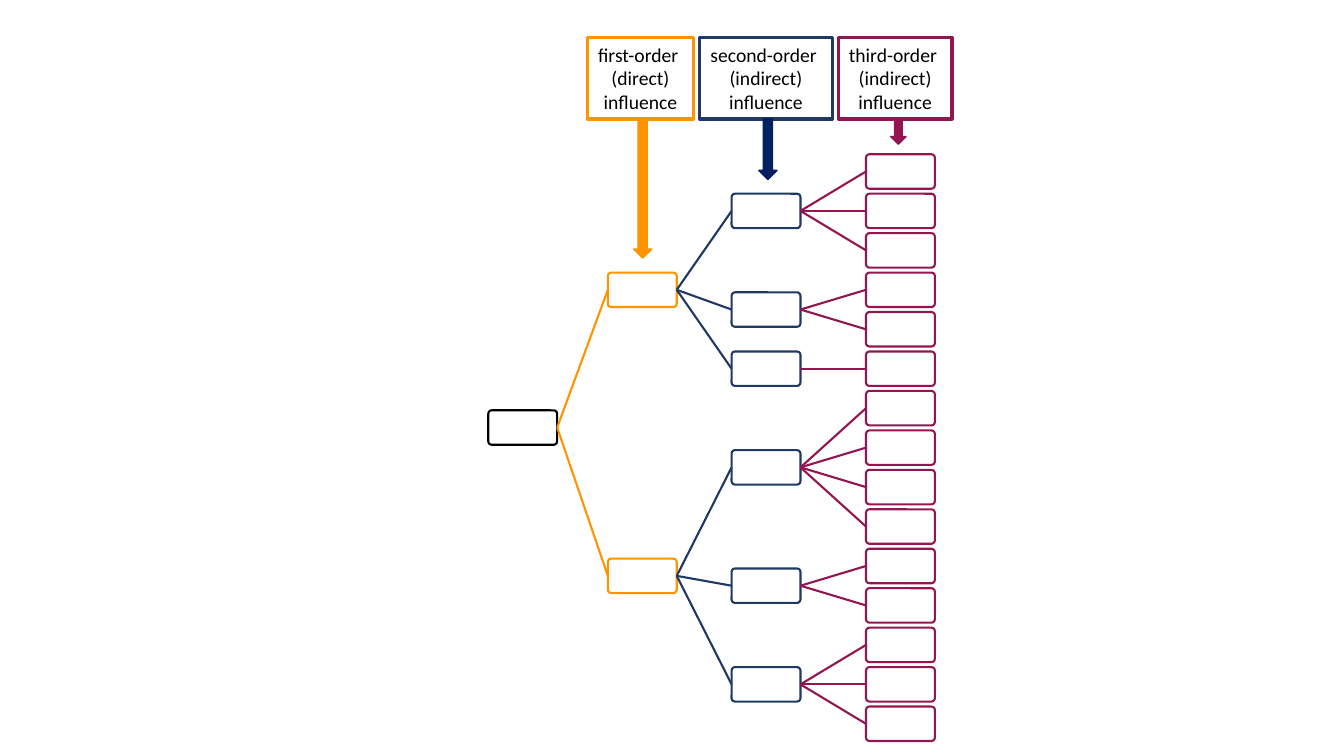
from pptx import Presentation
from pptx.dml.color import RGBColor
from pptx.enum.shapes import MSO_CONNECTOR, MSO_SHAPE
from pptx.enum.text import MSO_AUTO_SIZE, PP_ALIGN
from pptx.oxml.ns import qn
from pptx.util import Pt
from lxml import etree

ROUNDED, ARROW = MSO_SHAPE.ROUNDED_RECTANGLE, MSO_SHAPE.DOWN_ARROW
STRAIGHT = MSO_CONNECTOR.STRAIGHT
CENTER = PP_ALIGN.CENTER
FIT_SHAPE = MSO_AUTO_SIZE.SHAPE_TO_FIT_TEXT
RIGHT_SIDE, LEFT_SIDE = 3, 1

BLACK = RGBColor(0x00, 0x00, 0x00)
WHITE = RGBColor(0xFF, 0xFF, 0xFF)
ORANGE = RGBColor(0xFF, 0x93, 0x00)
NAVY = RGBColor(0x20, 0x38, 0x64)
DARK_BLUE = RGBColor(0x00, 0x20, 0x60)
PLUM = RGBColor(0x94, 0x16, 0x51)

BOX_W, BOX_H = 49.2, 24.6
LEAF_TOP, LEAF_STEP = 110.2, 28.18
ROOT_TOP = 293.1
HEADER_TOP, HEADER_H = 26.8, 58.2

prs = Presentation()
prs.slide_width, prs.slide_height = Pt(960), Pt(540)
s = prs.slides.add_slide(prs.slide_layouts[6])


def add_filled(kind, x, y, w, h, fill, line, weight):
    sp = s.shapes.add_shape(kind, Pt(x), Pt(y), Pt(w), Pt(h))
    sp.shadow.inherit = False
    sp.fill.solid()
    sp.fill.fore_color.rgb = fill
    sp.line.color.rgb = line
    sp.line.width = Pt(weight)
    return sp


def add_node(x, y, color):
    node = add_filled(ROUNDED, x, y, BOX_W, BOX_H, WHITE, color, 1.5)
    node.adjustments[0] = 0.1
    return node


# Tree, from the third order back to the root: each parent is centred on its children
tops = [LEAF_TOP + i * LEAF_STEP for i in range(15)]
nodes = [add_node(618.6, y, PLUM) for y in tops]
branch_color = PLUM
for x, color, child_counts in [
    (522.6, NAVY, [3, 2, 1, 4, 2, 3]),
    (434.2, ORANGE, [3, 3]),
    (348.8, BLACK, [2]),
]:
    parents, parent_tops, first = [], [], 0
    for count in child_counts:
        last = first + count
        y = ROOT_TOP if color == BLACK else (tops[first] + tops[last - 1]) / 2
        parent = add_node(x, y, color)
        for child in nodes[first:last]:
            branch = s.shapes.add_connector(STRAIGHT, 0, 0, 0, 0)
            branch.begin_connect(parent, RIGHT_SIDE)
            branch.end_connect(child, LEFT_SIDE)
            branch.line.color.rgb = branch_color
            branch.line.width = Pt(1.5)
            etree.SubElement(branch._element.spPr, qn("a:effectLst"))
        parents.append(parent)
        parent_tops.append(y)
        first = last
    nodes, tops, branch_color = parents, parent_tops, color

# Column headers
for x, w, color, lines in [
    (419.6, 75.8, ORANGE, ["first-order ", "(direct)", "influence"]),
    (499.8, 94.6, NAVY, ["second-order ", "(indirect)", "influence"]),
    (598.8, 81.2, PLUM, ["third-order ", "(indirect)", "influence"]),
]:
    header = s.shapes.add_textbox(Pt(x), Pt(HEADER_TOP), Pt(w), Pt(HEADER_H))
    header.line.color.rgb = color
    header.line.width = Pt(2.25)
    tf = header.text_frame
    tf.word_wrap = False
    tf.auto_size = FIT_SHAPE
    tf.text = "\n".join(lines)
    for p in tf.paragraphs:
        p.alignment = CENTER
        p.font.name = "Calibri"
        p.font.size = Pt(14)
        p.font.color.rgb = BLACK

# Arrows from the headers to their columns
for x, w, h, color in [
    (452.6, 13, 99.4, ORANGE),
    (542, 13, 43.2, DARK_BLUE),
    (636.2, 11, 18, PLUM),
]:
    add_filled(ARROW, x, HEADER_TOP + HEADER_H, w, h, color, color, 1)

prs.save("out.pptx")
